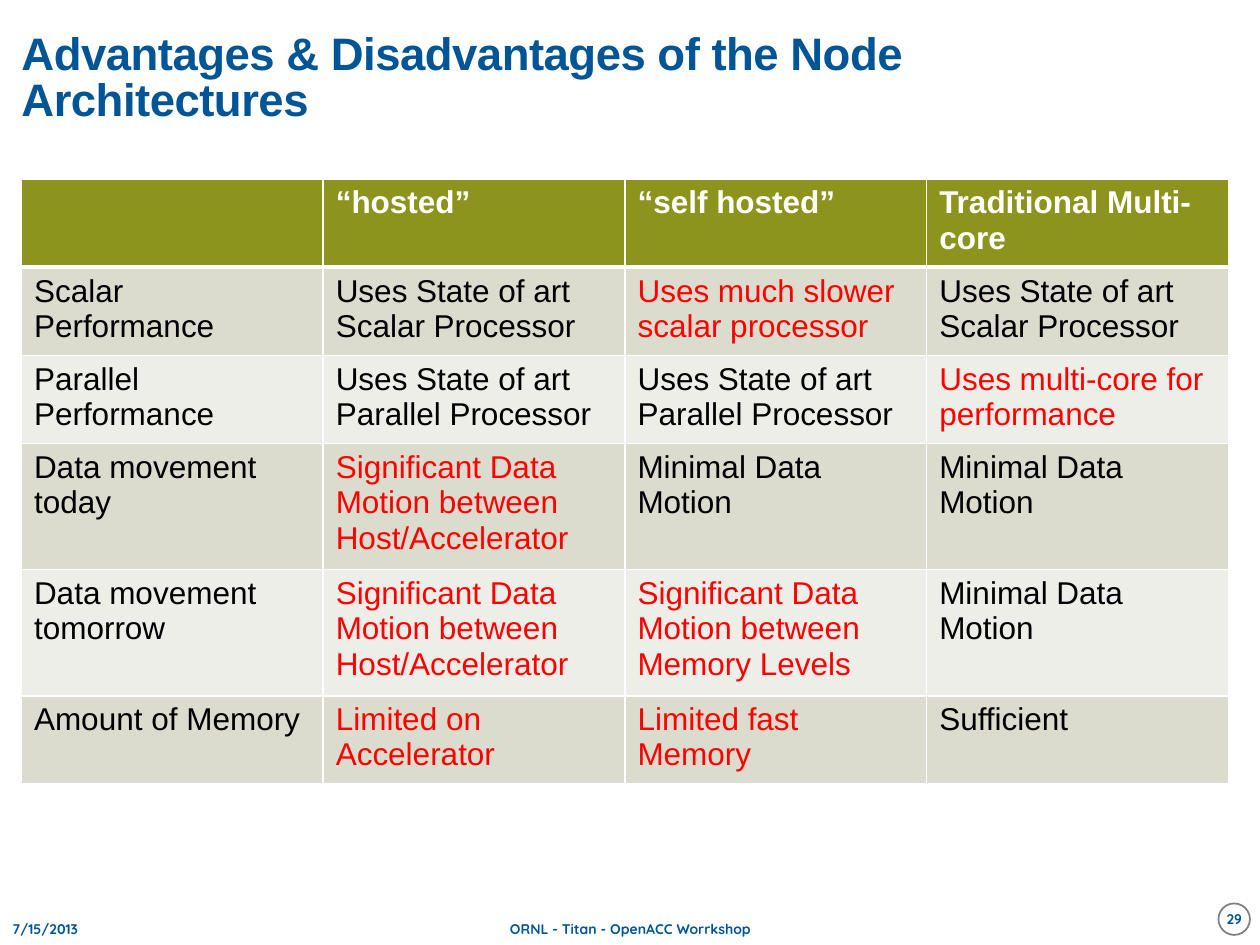
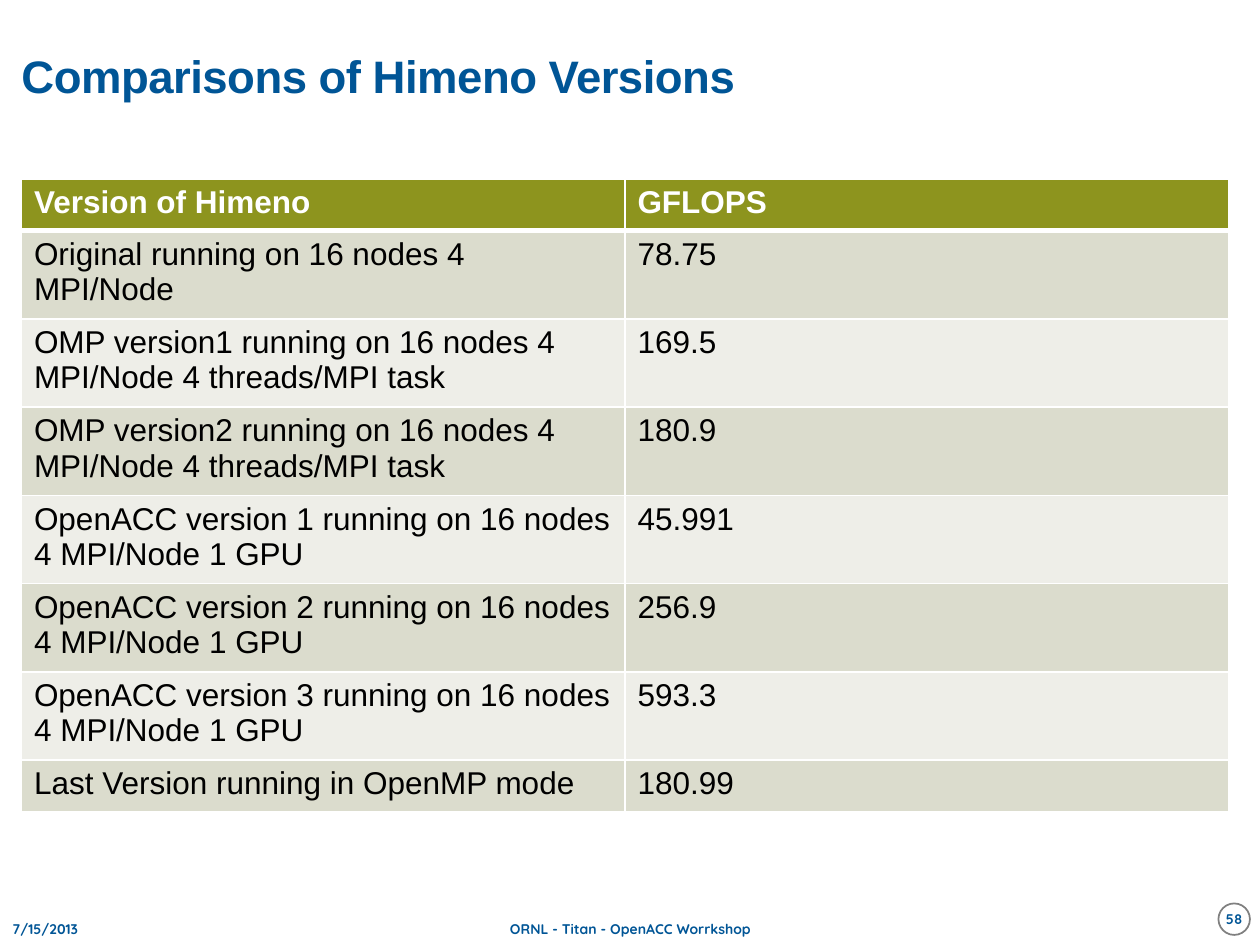
from dataclasses import dataclass

from lxml.etree import SubElement
from pptx import Presentation
from pptx.dml.color import RGBColor
from pptx.enum.shapes import MSO_SHAPE
from pptx.enum.text import MSO_ANCHOR, MSO_AUTO_SIZE, PP_ALIGN
from pptx.oxml.ns import qn
from pptx.util import Inches, Pt


@dataclass(frozen=True)
class Theme:
    blue: str = "005596"
    olive: str = "8D941E"
    dark_band: str = "DBDCCD"
    light_band: str = "EEEEE8"
    white: str = "FFFFFF"
    black: str = "000000"
    red: str = "FF0000"
    gray: str = "808080"
    text_font: str = "Arial"
    footer_font: str = "Quicksand"
    title_size: float = 26
    table_size: float = 18
    footer_size: float = 8
    rule: float = 1
    header_rule: float = 3


THEME = Theme()
TABLE_LEFT, TABLE_TOP, TABLE_WIDTH, ROW_HEIGHT = 0.17, 1.42, 9.58, 0.41


class Drawback(str):
    """Cell text shown in red."""


ARCHITECTURES = [
    ["", "“hosted”", "“self hosted”", "Traditional Multi-core"],
    ["Scalar Performance", "Uses State of art Scalar Processor",
     Drawback("Uses much slower scalar processor"), "Uses State of art Scalar Processor"],
    ["Parallel Performance", "Uses State of art Parallel Processor",
     "Uses State of art Parallel Processor", Drawback("Uses multi-core for performance")],
    ["Data movement today", Drawback("Significant Data Motion between Host/Accelerator"),
     "Minimal Data Motion", "Minimal Data Motion"],
    ["Data movement tomorrow", Drawback("Significant Data Motion between Host/Accelerator"),
     Drawback("Significant Data Motion between Memory Levels"), "Minimal Data Motion"],
    ["Amount of Memory", Drawback("Limited on Accelerator"),
     Drawback("Limited fast Memory"), "Sufficient"],
]

HIMENO_VERSIONS = [
    ["Version of Himeno", "GFLOPS"],
    ["Original running on 16 nodes 4 MPI/Node", "78.75"],
    ["OMP version1 running on 16 nodes 4 MPI/Node 4 threads/MPI task", "169.5"],
    ["OMP version2 running on 16 nodes 4 MPI/Node 4 threads/MPI task", "180.9"],
    ["OpenACC version 1 running on 16 nodes 4 MPI/Node 1 GPU", "45.991"],
    ["OpenACC version 2 running on 16 nodes 4 MPI/Node 1 GPU", "256.9"],
    ["OpenACC version 3 running on 16 nodes 4 MPI/Node 1 GPU", "593.3"],
    ["Last Version running in OpenMP mode", "180.99"],
]


def rgb(color):
    return RGBColor.from_string(color)


def write(frame, text, font_name, size, color, bold=True, align=PP_ALIGN.LEFT):
    frame.text = text
    frame.word_wrap = True
    paragraph = frame.paragraphs[0]
    paragraph.alignment = align
    for run in paragraph.runs:
        run.font.name = font_name
        run.font.size = Pt(size)
        run.font.bold = bold
        run.font.color.rgb = rgb(color)


def remove_margins(frame):
    frame.margin_left = frame.margin_right = 0
    frame.margin_top = frame.margin_bottom = 0


def add_title(slide, text):
    title = slide.shapes.title
    title.left, title.top = Inches(0.17), Inches(0.17)
    title.width, title.height = Inches(8), Inches(0.92)
    frame = title.text_frame
    write(frame, text, THEME.text_font, THEME.title_size, THEME.blue)
    remove_margins(frame)
    frame.auto_size = MSO_AUTO_SIZE.NONE
    frame.vertical_anchor = MSO_ANCHOR.MIDDLE
    paragraph = frame.paragraphs[0]
    paragraph.line_spacing = 0.85
    paragraph.runs[0].font._element.set("spc", "-30")


def write_footer(frame, text, align):
    write(frame, text, THEME.footer_font, THEME.footer_size, THEME.blue, align=align)
    frame.vertical_anchor = MSO_ANCHOR.MIDDLE


def add_footer(slide, number):
    for text, left, width, align in (
        ("7/15/2013", 0, 2.33, PP_ALIGN.LEFT),
        ("ORNL - Titan - OpenACC Worrkshop", 3.42, 3.17, PP_ALIGN.CENTER),
    ):
        label = slide.shapes.add_textbox(Inches(left), Inches(7.25), Inches(width), Inches(0.25))
        write_footer(label.text_frame, text, align)

    badge = slide.shapes.add_shape(
        MSO_SHAPE.OVAL, Inches(9.67), Inches(7.17), Inches(0.25), Inches(0.25))
    badge.shadow.inherit = False
    badge.fill.solid()
    badge.fill.fore_color.rgb = rgb(THEME.white)
    badge.line.color.rgb = rgb(THEME.gray)
    badge.line.width = Pt(1)
    write_footer(badge.text_frame, str(number), PP_ALIGN.CENTER)
    remove_margins(badge.text_frame)
    badge.text_frame.word_wrap = False


def set_borders(cell, top, bottom):
    """Draw white cell borders; must run before the cell is filled."""
    properties = cell._tc.get_or_add_tcPr()
    widths = {"a:lnL": THEME.rule, "a:lnR": THEME.rule, "a:lnT": top, "a:lnB": bottom}
    for tag, width in widths.items():
        line = SubElement(properties, qn(tag), w=str(Pt(width)))
        SubElement(SubElement(line, qn("a:solidFill")), qn("a:srgbClr"), val=THEME.white)


def format_cell(cell, text, row):
    is_header = row == 0
    set_borders(cell,
                top=THEME.header_rule if row == 1 else THEME.rule,
                bottom=THEME.header_rule if is_header else THEME.rule)
    if is_header:
        fill, color = THEME.olive, THEME.white
    else:
        fill = THEME.dark_band if row % 2 else THEME.light_band
        color = THEME.red if isinstance(text, Drawback) else THEME.black
    cell.fill.solid()
    cell.fill.fore_color.rgb = rgb(fill)
    write(cell.text_frame, text, THEME.text_font, THEME.table_size, color, bold=is_header)


def add_comparison_table(slide, rows):
    table = slide.shapes.add_table(
        len(rows), len(rows[0]), Inches(TABLE_LEFT), Inches(TABLE_TOP),
        Inches(TABLE_WIDTH), Inches(ROW_HEIGHT * len(rows))).table
    for row, texts in enumerate(rows):
        for column, text in enumerate(texts):
            format_cell(table.cell(row, column), text, row)


def add_comparison_slide(deck, title, rows, number):
    slide = deck.slides.add_slide(deck.slide_layouts.get_by_name("Title Only"))
    add_title(slide, title)
    add_footer(slide, number)
    add_comparison_table(slide, rows)


def main():
    deck = Presentation()
    deck.slide_width, deck.slide_height = Inches(10), Inches(7.5)
    add_comparison_slide(
        deck, "Advantages & Disadvantages of the Node Architectures", ARCHITECTURES, 29)
    add_comparison_slide(deck, "Comparisons of Himeno Versions", HIMENO_VERSIONS, 58)
    deck.save("out.pptx")


if __name__ == "__main__":
    main()
